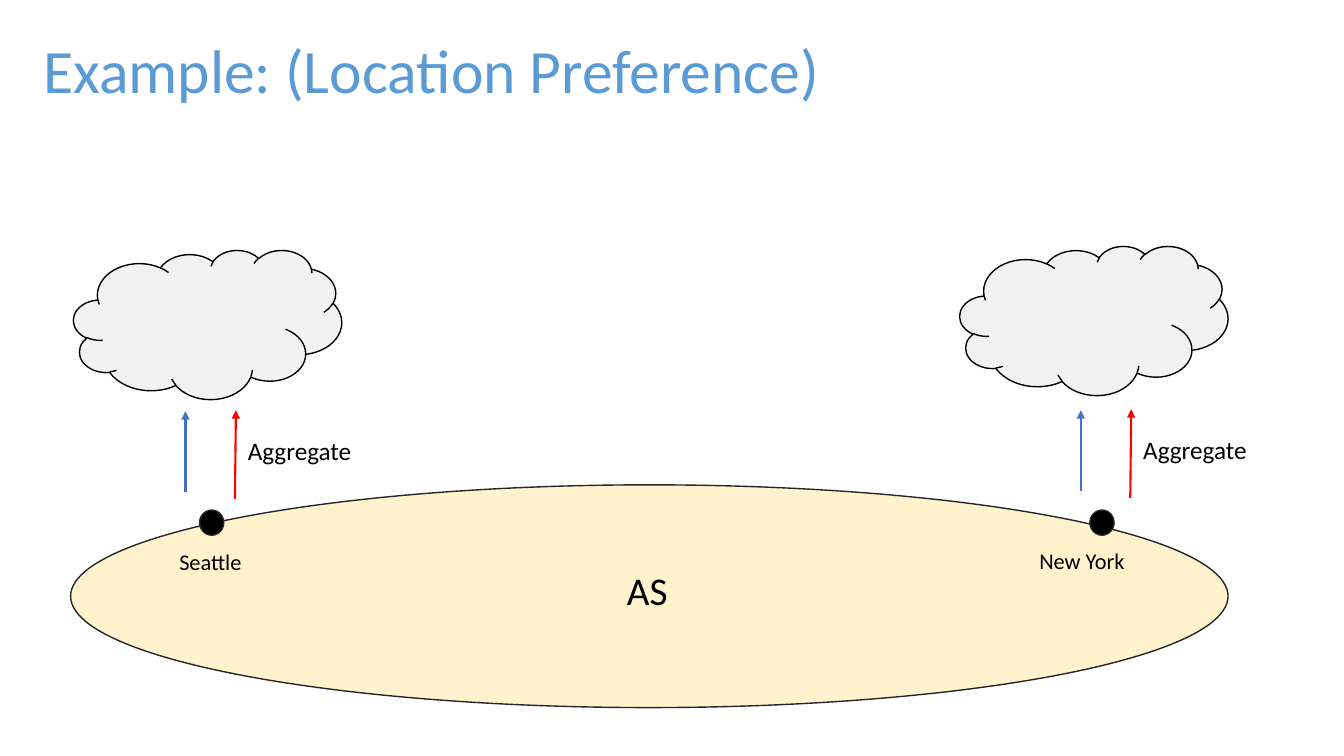
from pptx import Presentation
from pptx.dml.color import RGBColor
from pptx.enum.shapes import MSO_CONNECTOR as CONN, MSO_SHAPE as SHAPE
from pptx.enum.text import MSO_ANCHOR as ANCHOR, MSO_AUTO_SIZE as AUTO, PP_ALIGN as ALIGN
from pptx.oxml.ns import qn
from pptx.util import Inches, Pt
from lxml.etree import SubElement

BLACK = RGBColor(0x00, 0x00, 0x00)
DARK = RGBColor(0x26, 0x26, 0x26)
CREAM = RGBColor(0xFF, 0xF2, 0xCC)
GREY = RGBColor(0xF2, 0xF2, 0xF2)
RED = RGBColor(0xFF, 0x00, 0x00)
BLUE = RGBColor(0x44, 0x72, 0xC4)
TITLE_BLUE = RGBColor(0x5B, 0x9B, 0xD5)


def add_shape(kind, x, y, w, h, fill, line):
    sp = s.shapes.add_shape(kind, Inches(x), Inches(y), Inches(w), Inches(h))
    sp.shadow.inherit = False
    sp.fill.solid()
    sp.fill.fore_color.rgb = fill
    sp.line.color.rgb = line
    sp.line.width = Pt(1)


def add_label(shapes, text, x, y, w, h, size, spacing=0.8):
    sp = shapes.add_textbox(Inches(x), Inches(y), Inches(w), Inches(h))
    tf = sp.text_frame
    tf.word_wrap = True
    p = tf.paragraphs[0]
    p.text = text
    p.line_spacing = spacing
    p.font.name = "Calibri"
    p.font.size = Pt(size)
    p.font.color.rgb = BLACK
    return tf


prs = Presentation()
prs.slide_width = Inches(13.33)
prs.slide_height = Inches(7.5)
s = prs.slides.add_slide(prs.slide_layouts[5])

title = s.shapes.title
title.left, title.top = Inches(0.33), Inches(0)
title.width, title.height = Inches(11.5), Inches(1.45)
tf = title.text_frame
tf.vertical_anchor = ANCHOR.MIDDLE
p = tf.paragraphs[0]
p.text = "Example: (Location Preference)"
p.alignment = ALIGN.LEFT
p.line_spacing = 0.9
p.font.name = "Calibri"
p.font.size = Pt(44)
p.font.color.rgb = TITLE_BLUE

add_shape(SHAPE.OVAL, 0.7, 4.81, 11.48, 2.21, CREAM, DARK)
add_label(s.shapes, "AS", 6.12, 5.66, 0.63, 0.51, 28)

sites = [
    ("Seattle", 1.68, 5.44, 0.83, 1.98, 1.84, 4.08, 0.73, 2.48),
    ("New York", 10.21, 5.43, 1.16, 10.81, 10.72, 4.07, 9.52, 2.44),
]
for city, city_x, city_y, city_w, dot_x, route_x, route_y, cloud_x, cloud_y in sites:
    add_shape(SHAPE.CLOUD, cloud_x, cloud_y, 2.66, 1.48, GREY, BLACK)
    add_shape(SHAPE.OVAL, dot_x, 5.06, 0.24, 0.25, BLACK, DARK)
    add_label(s.shapes, city, city_x, city_y, city_w, 0.33, 16)

    routes = s.shapes.add_group_shape().shapes
    tf = add_label(routes, "Aggregate", route_x + 0.52, route_y + 0.19, 1.24, 0.4, 18, 1.0)
    tf.word_wrap = False
    tf.auto_size = AUTO.SHAPE_TO_FIT_TEXT
    for color, x1, y1, x2, y2 in [
        (RED, 0.49, 0.87, 0.5, -0.01),
        (BLUE, 0, 0.8, 0, 0),
    ]:
        arrow = routes.add_connector(
            CONN.STRAIGHT,
            Inches(route_x + x1), Inches(route_y + y1),
            Inches(route_x + x2), Inches(route_y + y2),
        )
        arrow.line.color.rgb = color
        arrow.line.width = Pt(1.5)
        SubElement(arrow.line._get_or_add_ln(), qn("a:tailEnd"), type="triangle")
        SubElement(arrow._element.spPr, qn("a:effectLst"))

prs.save("out.pptx")
